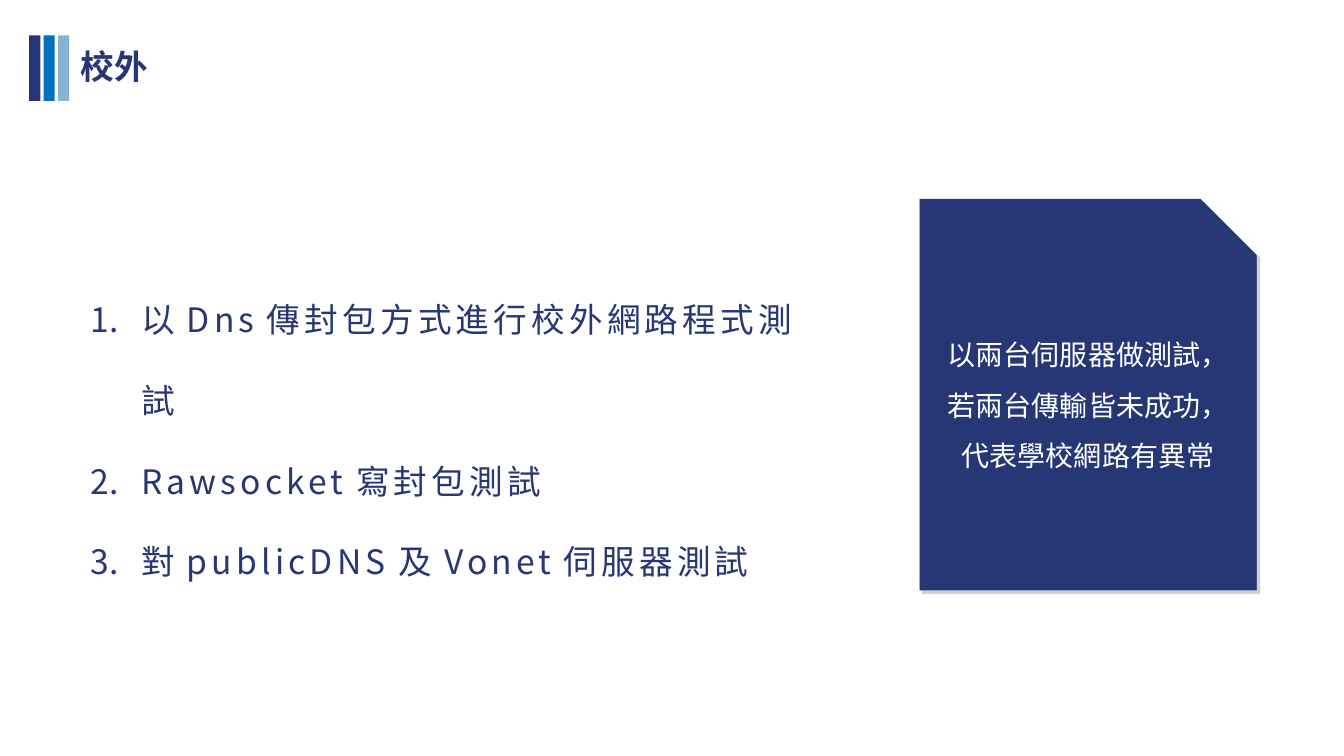
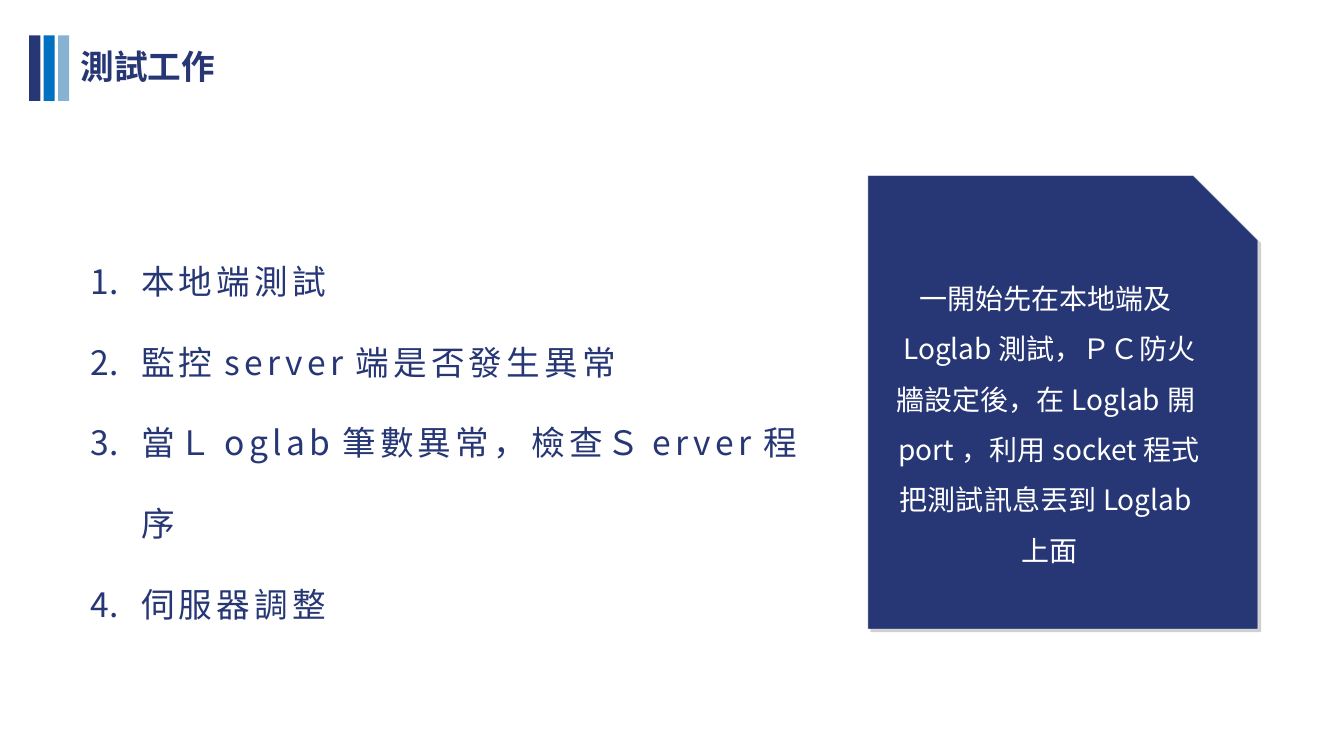
from lxml.etree import SubElement as Sub
from pptx import Presentation
from pptx.dml.color import RGBColor
from pptx.enum.shapes import MSO_SHAPE as Kind
from pptx.enum.text import MSO_ANCHOR as Anchor, PP_ALIGN as Align
from pptx.oxml.ns import qn
from pptx.util import Inches, Pt

COLS, ROWS = 40, 22.5
UNIT = Inches(13.3333) / COLS
FONT = "Noto Sans CJK SC"
NAVY, BLUE, SKY, WHITE = "273775", "0070C0", "87B2D1", "FFFFFF"


def rgb(code):
    """Turn a hex string into a colour."""
    return RGBColor.from_string(code)


def grid(*box):
    """Turn columns and rows into lengths."""
    return [round(n * UNIT) for n in box]


def part(box, share):
    """Place shares of a box on the grid."""
    x, y, w, h = box
    l, t, r, b = share
    return x + l * w, y + t * h, r * w, b * h


def node(top, tag, **attrs):
    """Add a drawing element."""
    return Sub(top, qn("a:" + tag), attrs)


def block(shapes, kind, box, fill):
    """Add a flat filled shape."""
    shape = shapes.add_shape(kind, *grid(*box))
    shape.shadow.inherit = False
    shape.fill.solid()
    shape.fill.fore_color.rgb = rgb(fill)
    shape.line.fill.background()
    return shape


def frame(shapes, box, wrap=True, anchor=Anchor.TOP):
    """Add an empty text box with narrow margins."""
    text = shapes.add_textbox(*grid(*box)).text_frame
    text.word_wrap = wrap
    text.vertical_anchor = anchor
    text.margin_left = text.margin_right = Inches(0.05)
    text.margin_top = text.margin_bottom = Inches(0.05)
    return text


def write(para, words, size, color, bold=False, space=0):
    """Add one run to a paragraph."""
    run = para.add_run()
    run.text = words
    font = run.font
    font.size, font.bold, font.name = Pt(size), bold, FONT
    font.color.rgb = rgb(color)
    props = run._r.get_or_add_rPr()
    node(props, "ea", typeface=FONT)
    if space:
        props.set("spc", str(space * 100))


def head(shapes, title, box):
    """Draw the three bars and the title."""
    x, y, w, h = box
    for i, color in enumerate((NAVY, BLUE, SKY)):
        block(shapes, Kind.RECTANGLE, (x + i * 0.43, y, w, h), color)
    spot = x + 1.38, y + 0.18, len(title) + 0.3, 1.5
    write(frame(shapes, spot, wrap=False).paragraphs[0], title, 24, NAVY, bold=True)


def steps(shapes, items, box):
    """Write a numbered list."""
    text = frame(shapes, box)
    for i, item in enumerate(items):
        para = text.add_paragraph() if i else text.paragraphs[0]
        para.line_spacing = 2.0
        props = para._p.get_or_add_pPr()
        props.set("marL", str(Inches(0.5)))
        props.set("indent", str(-Inches(0.5)))
        node(props, "buFont", typeface=FONT)
        node(props, "buAutoNum", type="arabicPeriod")
        write(para, item, 24, NAVY, space=3)


def card(shapes, words, box, share):
    """Draw a snipped card with a centred note."""
    group = shapes.add_group_shape().shapes
    sheet = block(group, Kind.SNIP_1_RECTANGLE, box, NAVY)
    sheet.line.color.rgb = rgb(WHITE)
    sheet.line.width = Pt(0.25)
    effects = sheet._element.spPr.find(qn("a:effectLst"))
    shade = node(effects, "outerShdw", blurRad="0", dist=str(Pt(3)),
                 dir="2700000", algn="tl", rotWithShape="0")
    node(node(shade, "srgbClr", val="000000"), "alpha", val="19000")
    para = frame(group, part(box, share), anchor=Anchor.MIDDLE).paragraphs[0]
    para.alignment = Align.CENTER
    para.line_spacing = 1.5
    write(para, words, 20, WHITE)


def page(deck, title, items, area, note, box, share):
    """Build a slide with a list and a card."""
    shapes = deck.slides.add_slide(deck.slide_layouts[6]).shapes
    head(shapes, title, (0.87, 1.05, 0.33, 1.95))
    steps(shapes, items, area)
    card(shapes, note, box, share)


def main():
    """Build and save the deck."""
    deck = Presentation()
    deck.slide_width, deck.slide_height = grid(COLS, ROWS)
    page(deck, "校外",
         ("以Dns傳封包方式進行校外網路程式測試",
          "Rawsocket寫封包測試",
          "對publicDNS及Vonet伺服器測試"),
         (2.55, 7.56, 22.23, 10),
         "以兩台伺服器做測試，若兩台傳輸皆未成功，代表學校網路有異常",
         (27.36, 5.91, 10.05, 11.67), (0.06, 0.33, 0.88, 0.35))
    page(deck, "測試工作",
         ("本地端測試",
          "監控server端是否發生異常",
          "當Ｌoglab筆數異常，檢查Ｓerver程序",
          "伺服器調整"),
         (2.55, 6.42, 21.87, 12.4),
         "一開始先在本地端及Loglab測試，ＰＣ防火牆設定後，在Loglab開port，"
         "利用socket程式把測試訊息丟到Loglab上面",
         (25.83, 5.22, 11.61, 13.5), (0.06, 0.19, 0.81, 0.68))
    deck.save("out.pptx")


if __name__ == "__main__":
    main()
